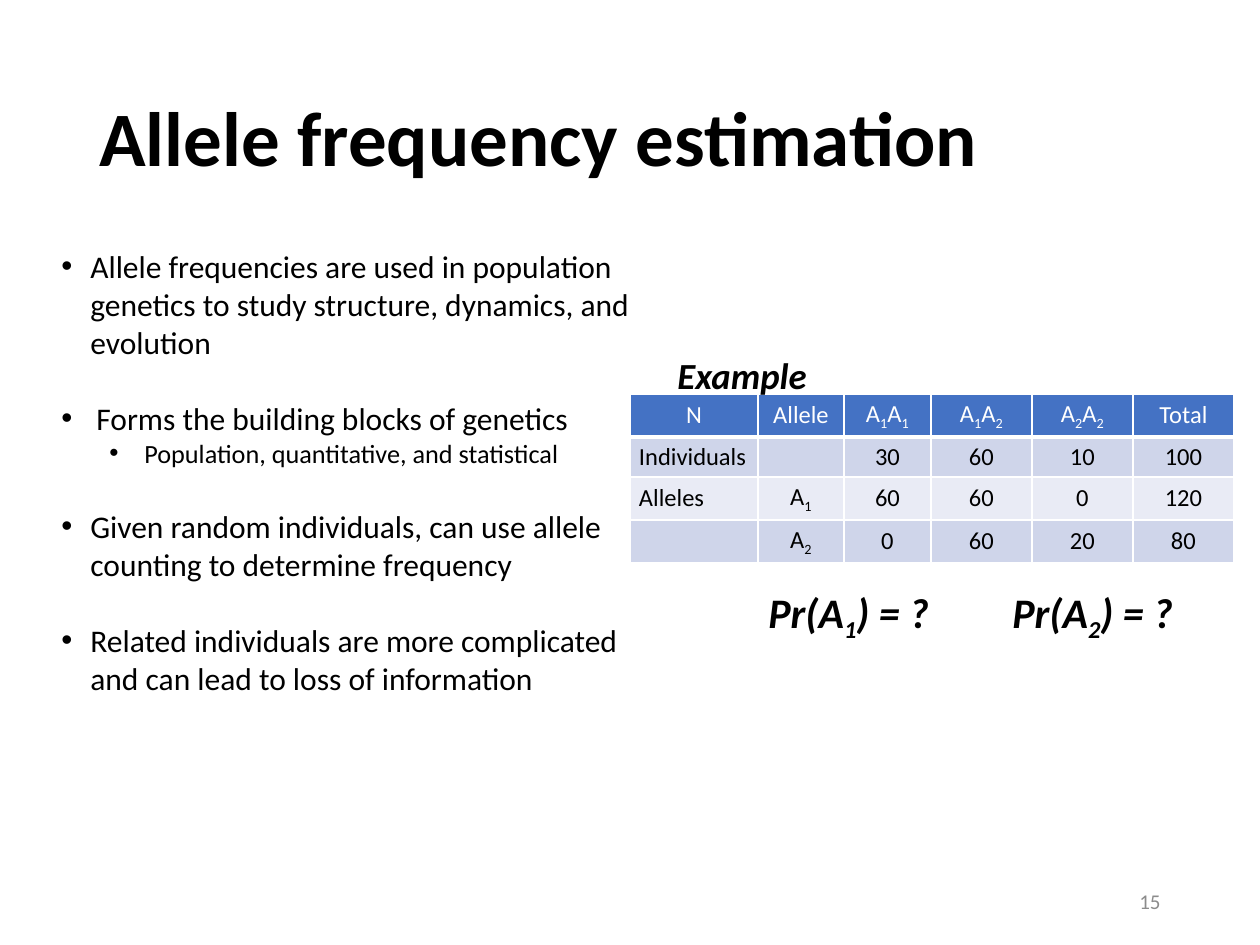
"""Build the slide on allele frequency estimation."""
from dataclasses import dataclass

from lxml import etree
from pptx import Presentation, util as u
from pptx.dml.color import RGBColor
from pptx.enum import text as t
from pptx.oxml.ns import qn

SCALE = 914400 / 126
LEFT, MID, RIGHT = t.PP_ALIGN.LEFT, t.PP_ALIGN.CENTER, t.PP_ALIGN.RIGHT


@dataclass(frozen=True)
class Theme:
    font: str = "Calibri"
    ink: str = "000000"
    pale: str = "8C8C8C"
    white: str = "FFFFFF"
    head: str = "4472C4"
    bands: tuple = ("E9EBF5", "CFD5EA")
    title: int = 44
    ask: int = 24
    label: int = 21
    body: int = 18
    sub: int = 15
    cell: int = 14
    page: int = 12
    gap: int = 22


@dataclass(frozen=True)
class Style:
    size: int
    color: str = Theme.ink
    bold: bool = False
    slant: bool = False


@dataclass(frozen=True)
class Label:
    words: str
    at: tuple
    style: Style
    align: int = LEFT
    lead: float = 1.0
    fixed: bool = False


@dataclass(frozen=True)
class Point:
    words: str
    left: int = 29
    hang: int = 29
    level: int = 0
    size: int = Theme.body
    gap: int = Theme.gap


THEME = Theme()
LABELS = [
    Label("Allele frequency estimation", (87, 50, 1086, 183),
          Style(THEME.title, bold=True), lead=0.9, fixed=True),
    Label("15", (890, 876, 283, 50), Style(THEME.page, THEME.pale), RIGHT, fixed=True),
    Label("Example", (665, 347, 156, 57), Style(THEME.label, bold=True, slant=True)),
    Label("Pr(A_1) = ?", (756, 580, 189, 63), Style(THEME.ask, bold=True, slant=True)),
    Label("Pr(A_2) = ?", (1000, 580, 189, 63), Style(THEME.ask, bold=True, slant=True)),
]
POINTS = [
    Point("Allele frequencies are used in population genetics to study structure, "
          "dynamics, and evolution", gap=0),
    Point("Forms the building blocks of genetics", 35, 35),
    Point("Population, quantitative, and statistical", 83, 35, 1, THEME.sub, 0),
    Point("Given random individuals, can use allele counting to determine frequency"),
    Point("Related individuals are more complicated and can lead to loss of information"),
]
COLS = [128, 86, 87, 101, 101, 101]
ROWS = [
    ["N", "Allele", "A_1A_1", "A_1A_2", "A_2A_2", "Total"],
    ["Individuals", "", "30", "60", "10", "100"],
    ["Alleles", "A_1", "60", "60", "0", "120"],
    ["", "A_2", "0", "60", "20", "80"],
]


def px(n: int) -> u.Emu:
    """Turn px into EMU."""
    return u.Emu(round(n * SCALE))


def add_run(para, words: str, style: Style, low: bool = False) -> None:
    """Add one run, lowered if it is a subscript."""
    if not words:
        return
    run = para.add_run()
    run.text = words
    font = run.font
    font.name, font.size = THEME.font, u.Pt(style.size)
    font.bold, font.italic = style.bold, style.slant
    font.color.rgb = RGBColor.from_string(style.color)
    if low:
        run._r.get_or_add_rPr().set("baseline", "-25000")


def write(para, words: str, style: Style) -> None:
    """Write words in which an underscore lowers the next letter."""
    first, *rest = words.split("_")
    add_run(para, first, style)
    for part in rest:
        add_run(para, part[0], style, True)
        add_run(para, part[1:], style)


def add_box(slide, at: tuple, wrap: bool, fixed: bool = False):
    """Add a text box and return its frame."""
    frame = slide.shapes.add_textbox(*map(px, at)).text_frame
    frame.word_wrap = wrap
    frame.auto_size = t.MSO_AUTO_SIZE.NONE if fixed else t.MSO_AUTO_SIZE.SHAPE_TO_FIT_TEXT
    frame.vertical_anchor = t.MSO_ANCHOR.MIDDLE if fixed else t.MSO_ANCHOR.TOP
    return frame


def add_label(slide, label: Label) -> None:
    """Add a single line of text."""
    para = add_box(slide, label.at, label.fixed, label.fixed).paragraphs[0]
    para.alignment, para.line_spacing = label.align, label.lead
    write(para, label.words, label.style)


def add_points(slide, at: tuple, points: list[Point]) -> None:
    """Add the bullet list."""
    frame = add_box(slide, at, True)
    for i, point in enumerate(points):
        para = frame.add_paragraph() if i else frame.paragraphs[0]
        para.level = point.level
        props = para._p.get_or_add_pPr()
        props.set("marL", str(px(point.left)))
        props.set("indent", str(-px(point.hang)))
        etree.SubElement(props, qn("a:buFont"), typeface="Arial")
        etree.SubElement(props, qn("a:buChar"), char="•")
        if point.gap:
            para.space_before = u.Pt(point.gap)
        write(para, point.words, Style(point.size))


def add_edges(cell, foot: int) -> None:
    """Draw white cell borders, the lower one foot points wide."""
    props = cell._tc.get_or_add_tcPr()
    for i, (side, wide) in enumerate(zip("LRTB", (1, 1, 1, foot))):
        line = etree.Element(qn(f"a:ln{side}"), w=str(u.Pt(wide)))
        fill = etree.SubElement(line, qn("a:solidFill"))
        etree.SubElement(fill, qn("a:srgbClr"), val=THEME.white)
        props.insert(i, line)


def fill_cell(cell, words: str, row: int, col: int) -> None:
    """Fill one table cell by its row and column."""
    cell.fill.solid()
    shade = THEME.bands[row % 2] if row else THEME.head
    cell.fill.fore_color.rgb = RGBColor.from_string(shade)
    add_edges(cell, 1 if row else 3)
    cell.margin_left = cell.margin_right = px(9)
    cell.margin_top = cell.margin_bottom = px(5)
    cell.vertical_anchor = t.MSO_ANCHOR.MIDDLE
    para = cell.text_frame.paragraphs[0]
    para.alignment = LEFT if row and not col else MID
    write(para, words, Style(THEME.cell, THEME.ink if row else THEME.white))
    if not words:
        etree.SubElement(para._p, qn("a:endParaRPr"), sz=str(THEME.cell * 100))


def add_counts(slide, left: int, top: int, high: int) -> None:
    """Add the table of genotype and allele counts."""
    size = map(px, (left, top, sum(COLS), high * len(ROWS)))
    table = slide.shapes.add_table(len(ROWS), len(COLS), *size).table
    for col, wide in zip(table.columns, COLS):
        col.width = px(wide)
    for r, row in enumerate(ROWS):
        table.rows[r].height = px(high)
        for c, words in enumerate(row):
            fill_cell(table.cell(r, c), words, r, c)


def main() -> None:
    """Build and save the deck."""
    deck = Presentation()
    deck.slide_width, deck.slide_height = px(1260), px(945)
    slide = deck.slides.add_slide(deck.slide_layouts[6])
    add_counts(slide, 630, 394, 39)
    for label in LABELS:
        add_label(slide, label)
    add_points(slide, (49, 241, 630, 465), POINTS)
    deck.save("out.pptx")


if __name__ == "__main__":
    main()
